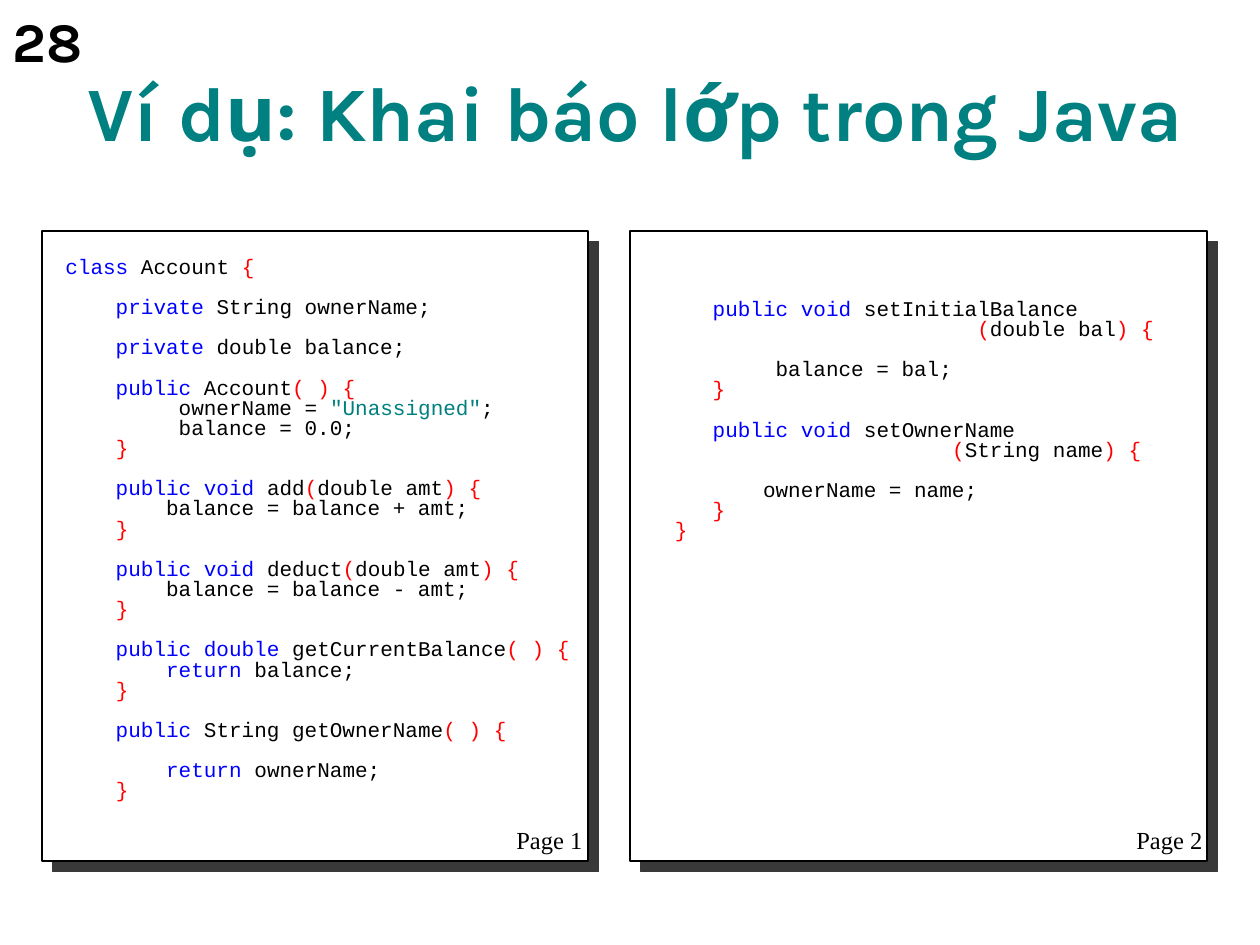
from dataclasses import dataclass
from itertools import groupby

from lxml.etree import SubElement
from pptx import Presentation
from pptx.dml.color import RGBColor
from pptx.enum.shapes import MSO_SHAPE as Shape
from pptx.enum.text import MSO_ANCHOR as Anchor, PP_ALIGN as Align
from pptx.oxml.ns import qn
from pptx.util import Emu, Pt

SCALE = 914400 / 126  # EMU per px


@dataclass(frozen=True)
class Theme:
    heading_font: str = "Karla"
    code_font: str = "Courier New"
    label_font: str = "Times New Roman"
    title: str = "008080"
    ink: str = "000000"
    paper: str = "FFFFFF"
    shadow: str = "393939"
    keyword: str = "0000FF"
    bracket: str = "FF0000"
    literal: str = "007F7F"
    title_size: int = 44
    number_size: int = 32
    label_size: int = 14
    code_size: int = 12
    code_spacing: float = 0.8
    blank_line: float = 11.52


THEME = Theme()
KEYWORDS = ("class", "private", "public void", "public double", "public", "return")

ACCOUNT_CODE = """\
class Account {

    private String ownerName;

    private double balance;

    public Account( ) {
         ownerName = "Unassigned";
         balance = 0.0;
    }

    public void add(double amt) {
        balance = balance + amt;
    }

    public void deduct(double amt) {
        balance = balance - amt;
    }

    public double getCurrentBalance( ) {
        return balance;
    }

    public String getOwnerName( ) {

        return ownerName;
    }"""

SETTER_CODE = """\
    public void setInitialBalance
                         (double bal) {

         balance = bal;
    }

    public void setOwnerName
                       (String name) {

        ownerName = name;
    }
 }"""


def px(value):
    return Emu(round(value * SCALE))


def color(value):
    return RGBColor.from_string(value)


def style(font, name, size, ink, bold=False):
    font.name, font.size, font.bold = name, Pt(size), bold
    font.color.rgb = color(ink)


def add_box(page, bounds, wrap=True):
    box = page.shapes.add_textbox(*map(px, bounds))
    box.text_frame.word_wrap = wrap
    return box.text_frame


def add_label(page, bounds, text, name, size, ink=THEME.ink, bold=False, wrap=True):
    frame = add_box(page, bounds, wrap)
    frame.text = text
    style(frame.paragraphs[0].runs[0].font, name, size, ink, bold)
    return frame


def add_sheet(page, bounds):
    """Draw a white, outlined sheet with a hard shadow to the lower right."""
    sheet = page.shapes.add_shape(Shape.RECTANGLE, *map(px, bounds))
    sheet.fill.solid()
    sheet.fill.fore_color.rgb = color(THEME.paper)
    sheet.line.color.rgb = color(THEME.ink)
    sheet.line.width = Pt(0.75)
    sheet.shadow.inherit = False
    effects = sheet._element.spPr.find(qn("a:effectLst"))
    shadow = SubElement(effects, qn("a:outerShdw"), dist=str(Pt(8.5)),
                        dir=str(45 * 60000), algn="ctr", rotWithShape="0")
    SubElement(shadow, qn("a:srgbClr"), val=THEME.shadow)


def highlight(line):
    """Yield (text, colour) spans: leading keyword, brackets, literals, the rest."""
    body = line.lstrip()
    indent = len(line) - len(body)
    keyword = next((word for word in KEYWORDS if body.startswith(word + " ")), "")
    keyword_end = indent + len(keyword)
    inks, quoted = [], False
    for index, char in enumerate(line):
        if keyword and index < keyword_end:
            ink = THEME.keyword
        elif char == '"' or quoted:
            ink = THEME.literal
            quoted ^= char == '"'
        elif char in "(){}":
            ink = THEME.bracket
        elif char == " " and inks and inks[-1] == THEME.bracket:
            ink = THEME.bracket
        else:
            ink = THEME.ink
        inks.append(ink)
    for ink, group in groupby(zip(line, inks), key=lambda pair: pair[1]):
        yield "".join(char for char, _ in group), ink


def add_code(page, bounds, code, wrap=True):
    """Write highlighted code; an empty source line becomes space before the next."""
    frame = add_box(page, bounds, wrap)
    para, gap = frame.paragraphs[0], 0
    for line in code.split("\n"):
        if not line:
            gap += THEME.blank_line
            continue
        if para.runs:
            para = frame.add_paragraph()
        para.line_spacing = THEME.code_spacing
        para.space_before = Pt(gap)
        gap = 0
        for text, ink in highlight(line):
            span = para.add_run()
            span.text = text
            style(span.font, THEME.code_font, THEME.code_size, ink)


def main():
    deck = Presentation()
    deck.slide_width, deck.slide_height = px(1260), px(945)
    page = deck.slides.add_slide(deck.slide_layouts[6])

    title = add_label(page, (42, 63, 1187, 100), "Ví dụ: Khai báo lớp trong Java",
                      THEME.heading_font, THEME.title_size, THEME.title, bold=True)
    title.vertical_anchor = Anchor.BOTTOM
    title.paragraphs[0].alignment = Align.CENTER

    for left, width in ((630, 577), (42, 546)):
        add_sheet(page, (left, 231, width, 630))
    add_code(page, (53, 252, 536, 577), ACCOUNT_CODE)
    add_code(page, (650, 294, 517, 255), SETTER_CODE, wrap=False)
    for number, left in enumerate((504, 1124), start=1):
        add_label(page, (left, 819, 91, 43), f"Page {number}",
                  THEME.label_font, THEME.label_size, wrap=False)
    add_label(page, (0, 0, 136, 89), "28", THEME.heading_font, THEME.number_size, bold=True)
    deck.save("out.pptx")


if __name__ == "__main__":
    main()
